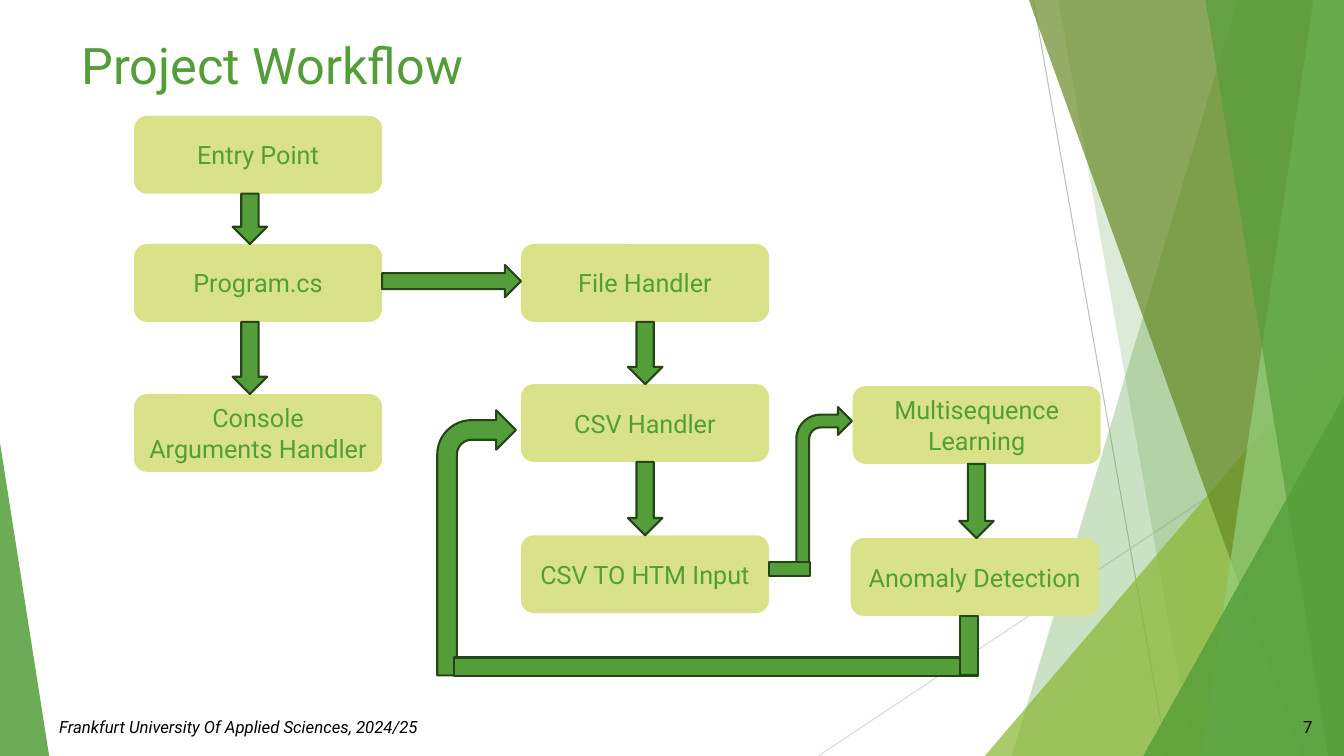
"""Build the Project Workflow slide as a flowchart over a faceted green backdrop."""
from lxml import etree
from pptx import Presentation
from pptx.dml.color import RGBColor
from pptx.enum.shapes import MSO_CONNECTOR, MSO_SHAPE
from pptx.enum.text import MSO_ANCHOR, MSO_AUTO_SIZE, PP_ALIGN
from pptx.oxml.ns import qn
from pptx.util import Cm, Pt

STRAIGHT = MSO_CONNECTOR.STRAIGHT
TRIANGLE = MSO_SHAPE.ISOSCELES_TRIANGLE
ROUNDED = MSO_SHAPE.ROUNDED_RECTANGLE
DOWN, RIGHT = MSO_SHAPE.DOWN_ARROW, MSO_SHAPE.RIGHT_ARROW
BENT, MINUS = MSO_SHAPE.BENT_ARROW, MSO_SHAPE.MATH_MINUS
TOP, MIDDLE = MSO_ANCHOR.TOP, MSO_ANCHOR.MIDDLE
NO_FIT = MSO_AUTO_SIZE.NONE
LEFT_ALIGN, CENTER, RIGHT_ALIGN = PP_ALIGN.LEFT, PP_ALIGN.CENTER, PP_ALIGN.RIGHT

GREEN = RGBColor(0x54, 0x9E, 0x39)
DARK_GREEN = RGBColor(0x25, 0x45, 0x19)
LIME = RGBColor(0x8A, 0xB8, 0x33)
OLIVE = RGBColor(0x67, 0x8A, 0x26)
MINT = RGBColor(0x93, 0xD0, 0x7D)
PALE_LIME = RGBColor(0xD9, 0xE2, 0x89)
GREY = RGBColor(0xBF, 0xBF, 0xBF)
LIGHT_GREY = RGBColor(0xD9, 0xD9, 0xD9)
BLACK = RGBColor(0, 0, 0)
FONT = "Roboto"

SLIDE_W, SLIDE_H = 33.87, 19.05
BOX_W, BOX_H = 6.25, 1.96
ARROW_W = 0.87

TITLE = "Project Workflow"
HAIRLINES = [
    (26.04, 0, 29.41, SLIDE_H, GREY),
    (SLIDE_W, 10.24, 20.62, SLIDE_H, LIGHT_GREY),
]
# Bands: x at top, x at bottom. Triangles: left, top, width, apex position.
FACETS = [
    ("band", (31.19, 25.5), GREEN, 30),
    ("band", (26.67, 30.05), GREEN, 20),
    ("triangle", (24.82, 8.46, 9.05, 1), LIME, 72),
    ("band", (25.93, 32.79), OLIVE, 70),
    ("band", (33.1, 30.28), MINT, 70),
    ("band", (30.38, 33.48), GREEN, 65),
    ("triangle", (28.81, 9.98, 5.06, 1), GREEN, 80),
    ("triangle", (0, 11.15, 1.24, 0), GREEN, 85),
]
STEPS = {
    "Entry Point": (3.38, 2.92),
    "Program.cs": (3.38, 6.15),
    "Console Arguments Handler": (3.38, 9.93),
    "File Handler": (13.13, 6.15),
    "CSV Handler": (13.13, 9.68),
    "CSV TO HTM Input": (13.13, 13.49),
    "Multisequence Learning": (21.49, 9.73),
    "Anomaly Detection": (21.44, 13.56),
}
DOWNWARD = [
    ("Entry Point", "Program.cs", 6.3),
    ("Program.cs", "Console Arguments Handler", 6.3),
    ("File Handler", "CSV Handler", 16.26),
    ("CSV Handler", "CSV TO HTM Input", 16.26),
    ("Multisequence Learning", "Anomaly Detection", 24.61),
]
DETOURS = [
    (BENT, (20.07, 10.26, 1.4, 4.22), (0.23, 0.25, 0.25, 0.438), 0),
    (MINUS, (19.2, 13.56, 1.4, 1.55), (), 0),
    (BENT, (11.02, 10.34, 1.98, 6.68), (), 0),
    (MINUS, (9.07, 15.82, 17.96, 1.96), (), 0),
    (MINUS, (23.42, 15.29, 2.01, 1.96), (), 270),
]
FOOTERS = [
    ("7", (31.42, 17.81, 1.91, 1.02), RIGHT_ALIGN, False),
    ("Frankfurt University Of Applied Sciences, 2024/25",
     (1.24, 17.81, 17.5, 1.02), LEFT_ALIGN, True),
]


def cm(values):
    return [Cm(value) for value in values]


def paint(shape, color, outline=None, opacity=100):
    shape.shadow.inherit = False
    shape.fill.solid()
    shape.fill.fore_color.rgb = color
    if opacity < 100:
        tint = shape.fill._xPr.find(qn("a:solidFill"))[0]
        etree.SubElement(tint, qn("a:alpha"), val=str(opacity * 1000))
    if outline is None:
        shape.line.fill.background()
    else:
        shape.line.color.rgb = outline
        shape.line.width = Pt(1.5)


def write(shape, text, size, color, align, anchor, italic=False):
    frame = shape.text_frame
    frame.text = text
    frame.word_wrap = True
    frame.auto_size = NO_FIT
    frame.vertical_anchor = anchor
    paragraph = frame.paragraphs[0]
    paragraph.alignment = align
    font = paragraph.font
    font.name, font.size, font.italic = FONT, Pt(size), italic
    font.color.rgb = color


def add_backdrop(shapes):
    for x1, y1, x2, y2, color in HAIRLINES:
        hairline = shapes.add_connector(STRAIGHT, *cm((x1, y1, x2, y2)))
        hairline.line.color.rgb = color
        hairline.line.width = Pt(0.75)
        etree.SubElement(hairline._element.spPr, qn("a:effectLst"))
    for kind, geometry, color, opacity in FACETS:
        if kind == "band":
            top_x, bottom_x = geometry
            builder = shapes.build_freeform(Cm(top_x), 0)
            corners = [(SLIDE_W, 0), (SLIDE_W, SLIDE_H), (bottom_x, SLIDE_H)]
            builder.add_line_segments([cm(corner) for corner in corners])
            facet = builder.convert_to_shape()
        else:
            left, top, width, apex = geometry
            facet = shapes.add_shape(TRIANGLE, *cm((left, top, width, SLIDE_H - top)))
            facet.adjustments[0] = apex
        paint(facet, color, opacity=opacity)


def add_arrow(shapes, preset, box, adjustments=(), rotation=0):
    arrow = shapes.add_shape(preset, *cm(box))
    for index, value in enumerate(adjustments):
        arrow.adjustments[index] = value
    arrow.rotation = rotation
    paint(arrow, GREEN, DARK_GREEN)


def add_workflow(shapes):
    for name, (left, top) in STEPS.items():
        step = shapes.add_shape(ROUNDED, *cm((left, top, BOX_W, BOX_H)))
        paint(step, PALE_LIME)
        write(step, name, 18, GREEN, CENTER, MIDDLE)
    for source, target, center in DOWNWARD:
        start = STEPS[source][1] + BOX_H
        length = STEPS[target][1] - start
        add_arrow(shapes, DOWN, (center - ARROW_W / 2, start, ARROW_W, length))
    start = STEPS["Program.cs"][0] + BOX_W
    length = STEPS["File Handler"][0] - start
    add_arrow(shapes, RIGHT, (start, 6.68, length, 0.81))
    for detour in DETOURS:
        add_arrow(shapes, *detour)


def main():
    deck = Presentation()
    deck.slide_width, deck.slide_height = cm((SLIDE_W, SLIDE_H))
    slide = deck.slides.add_slide(deck.slide_layouts[5])
    shapes = slide.shapes
    title = shapes.title
    title.left, title.top, title.width, title.height = cm((1.8, 0.74, 23.88, 2.36))
    write(title, TITLE, 36, GREEN, LEFT_ALIGN, TOP)
    add_backdrop(shapes)
    add_workflow(shapes)
    for text, box, align, italic in FOOTERS:
        footer = shapes.add_textbox(*cm(box))
        write(footer, text, 12, BLACK, align, MIDDLE, italic)
    deck.save("out.pptx")


if __name__ == "__main__":
    main()
